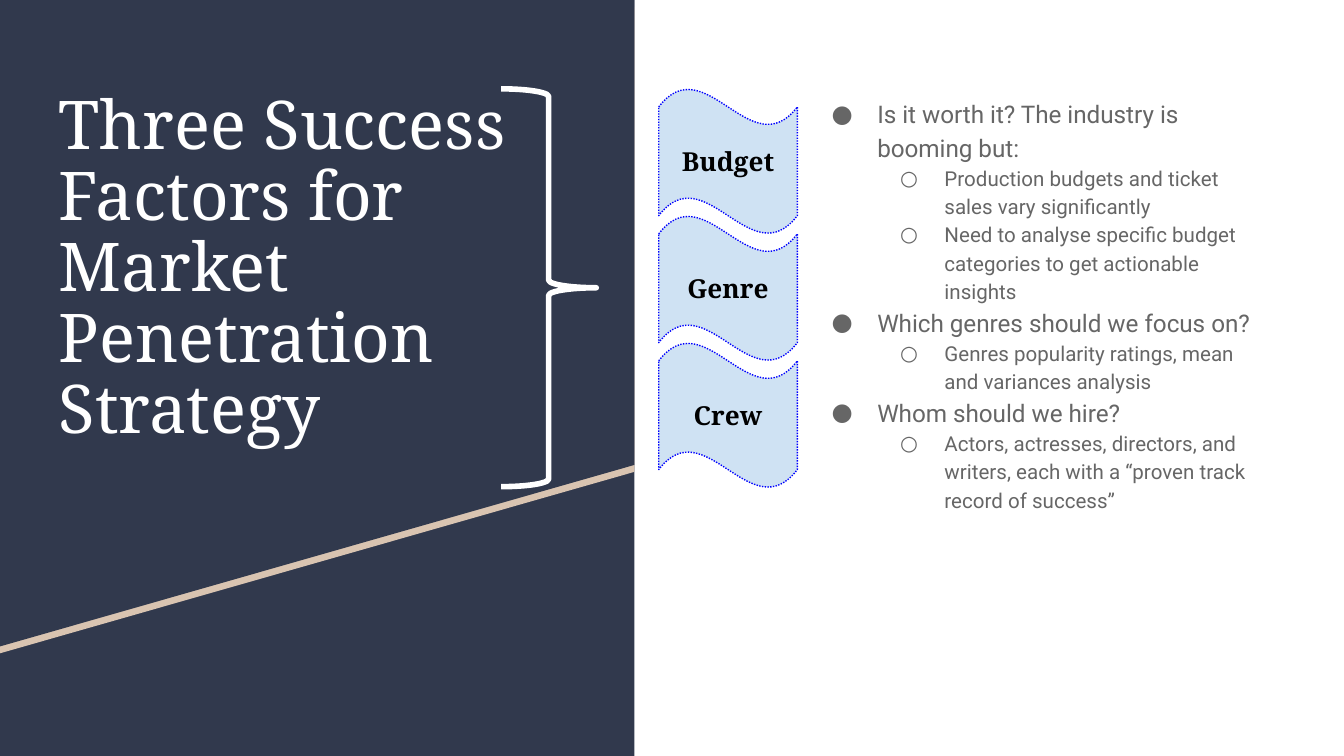
from lxml.etree import SubElement
from pptx import Presentation
from pptx.dml.color import RGBColor
from pptx.enum.dml import MSO_LINE
from pptx.enum.shapes import MSO_SHAPE as Preset
from pptx.enum.text import MSO_ANCHOR as Anchor, PP_ALIGN as Align
from pptx.oxml.ns import qn
from pptx.util import Cm, Pt

COLORS = {"navy": "31394D", "sand": "D9C4B1", "white": "FFFFFF", "grey": "666666",
          "sky": "CFE2F3", "blue": "0000FF", "black": "000000"}
SERIF, SANS = "Noto Serif", "Roboto"
WIDTH, HEIGHT, PANEL_WIDTH = 25.4, 14.29, 11.99
FACTORS = ["Budget", "Genre", "Crew"]
POINTS = [
    (0, "Is it worth it? The industry is booming but:"),
    (1, "Production budgets and ticket sales vary significantly"),
    (1, "Need to analyse specific budget categories to get actionable insights"),
    (0, "Which genres should we focus on?"),
    (1, "Genres popularity ratings, mean and variances analysis"),
    (0, "Whom should we hire?"),
    (1, "Actors, actresses, directors, and writers, each with a “proven track record of success”"),
]
LEVELS = [(13, 1.27, 0.86, "●"), (11, 2.54, 0.84, "○")]


def color(name):
    """Return the named colour."""
    return RGBColor.from_string(COLORS[name])


def paint(shape, fill=None, line=None, weight=1):
    """Set the fill and outline of a shape, without a shadow."""
    shape.shadow.inherit = False
    if fill:
        shape.fill.solid()
        shape.fill.fore_color.rgb = color(fill)
    else:
        shape.fill.background()
    if line:
        shape.line.color.rgb = color(line)
        shape.line.width = Pt(weight)
    else:
        shape.line.fill.background()


def format_runs(paragraph, face, size, tint, bold=False):
    """Apply one font to every run of a paragraph."""
    for run in paragraph.runs:
        run.font.name, run.font.size, run.font.bold = face, Pt(size), bold
        run.font.color.rgb = color(tint)


def prepare_frame(shape, anchor):
    """Wrap the text of a shape inside even margins."""
    frame = shape.text_frame
    frame.word_wrap, frame.vertical_anchor = True, anchor
    frame.margin_left = frame.margin_right = Cm(0.25)
    frame.margin_top = frame.margin_bottom = Cm(0.25)
    return frame


def add_slope(slide, left, top, width, heights, fill):
    """Add a block whose lower edge rises from left to right."""
    low, high = heights
    corners = [(left + width, top), (left + width, top + high), (left, top + low)]
    outline = slide.shapes.build_freeform(Cm(left), Cm(top))
    outline.add_line_segments([(Cm(x), Cm(y)) for x, y in corners], close=True)
    paint(outline.convert_to_shape(), fill)


def add_title_panel(slide, left, top, width, height):
    """Add the dark panel with its sloping band and the title."""
    panel = slide.shapes.add_shape(Preset.RECTANGLE, Cm(left), Cm(top), Cm(width), Cm(height))
    paint(panel, "navy")
    for offset, fill in [(0.13, "sand"), (0, "navy")]:
        add_slope(slide, left, top + offset, width, (12.22, 8.79), fill)
    title = slide.shapes.add_textbox(Cm(left + 0.86), Cm(top + 1.5), Cm(10.29), Cm(6.96))
    paragraph = prepare_frame(title, Anchor.TOP).paragraphs[0]
    paragraph.text = "Three Success Factors for Market Penetration Strategy"
    paragraph.line_spacing = 0.88
    format_runs(paragraph, SERIF, 36, "white")


def add_brace(slide, left, top, width, height):
    """Add the brace that joins the title to the factors."""
    brace = slide.shapes.add_shape(Preset.RIGHT_BRACE, Cm(left), Cm(top), Cm(width), Cm(height))
    brace.adjustments[0], brace.adjustments[1] = 0.08, 0.5
    paint(brace, line="white", weight=3)


def add_factors(slide, left, top, width, height, pitch):
    """Stack one wave for each factor."""
    for index, factor in enumerate(FACTORS):
        wave = slide.shapes.add_shape(Preset.WAVE, Cm(left), Cm(top + index * pitch),
                                      Cm(width), Cm(height))
        wave.adjustments[0], wave.adjustments[1] = 0.125, 0
        paint(wave, "sky", "blue", 0.75)
        wave.line.dash_style = MSO_LINE.ROUND_DOT
        paragraph = prepare_frame(wave, Anchor.MIDDLE).paragraphs[0]
        paragraph.text, paragraph.alignment = factor, Align.CENTER
        format_runs(paragraph, SERIF, 14, "black", True)


def add_bullet(paragraph, indent, hanging, mark):
    """Give a paragraph a hanging bullet."""
    properties = paragraph._p.get_or_add_pPr()
    properties.set("marL", str(Cm(indent)))
    properties.set("indent", str(-Cm(hanging)))
    tint = SubElement(properties, qn("a:buClr"))
    SubElement(tint, qn("a:srgbClr"), val=COLORS["grey"])
    SubElement(properties, qn("a:buFont"), typeface=SANS)
    SubElement(properties, qn("a:buChar"), char=mark)


def add_points(slide, left, top, width, height):
    """Add the two-level list of questions."""
    questions = slide.shapes.add_textbox(Cm(left), Cm(top), Cm(width), Cm(height))
    frame = prepare_frame(questions, Anchor.TOP)
    frame.text = "\n".join(text for _, text in POINTS)
    for paragraph, (level, _) in zip(frame.paragraphs, POINTS):
        size, indent, hanging, mark = LEVELS[level]
        paragraph.level, paragraph.line_spacing = level, 1.15
        add_bullet(paragraph, indent, hanging, mark)
        format_runs(paragraph, SANS, size, "grey")


def main():
    """Build and save the slide."""
    deck = Presentation()
    deck.slide_width, deck.slide_height = Cm(WIDTH), Cm(HEIGHT)
    slide = deck.slides.add_slide(deck.slide_layouts[6])
    add_title_panel(slide, 0, 0, PANEL_WIDTH, HEIGHT)
    add_points(slide, 15.06, 1.55, 8.92, 11.38)
    add_brace(slide, 9.47, 1.68, 1.8, 7.52)
    add_factors(slide, 12.45, 1.68, 2.62, 2.74, 2.4)
    deck.save("out.pptx")


main()
